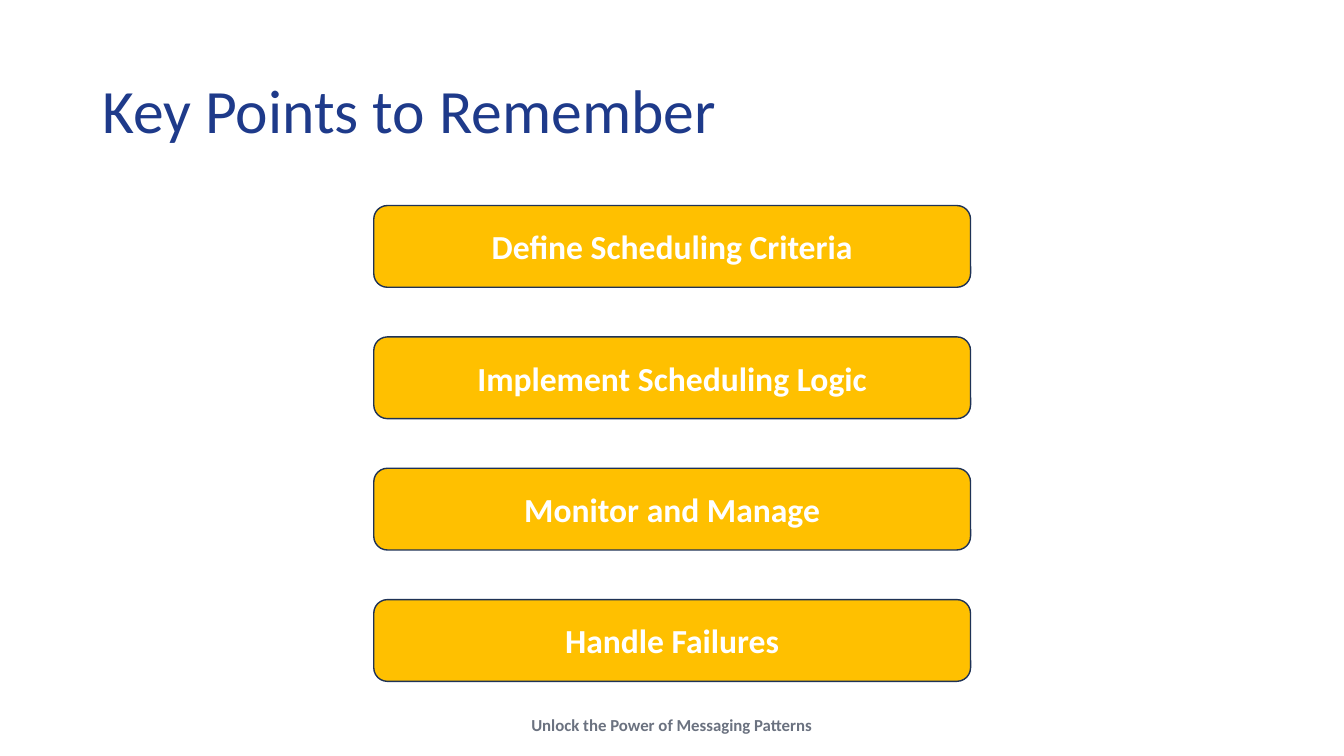
"""Build the key points slide on scheduling messages."""
from dataclasses import dataclass

from pptx import Presentation
from pptx.dml.color import RGBColor
from pptx.enum.shapes import MSO_SHAPE
from pptx.enum.text import MSO_ANCHOR, PP_ALIGN
from pptx.shapes.autoshape import Shape
from pptx.slide import Slide
from pptx.util import Cm, Pt

COLORS = {
    "title": "1E3A8A",
    "footer": "6B7280",
    "point_fill": "FFC000",
    "point_line": "1E3256",
    "point_text": "FFFFFF",
}
KEY_POINTS = (
    "Define Scheduling Criteria",
    "Implement Scheduling Logic",
    "Monitor and Manage",
    "Handle Failures",
)
FIRST_TOP = 5.18
POINT_PITCH = 3.31


@dataclass(frozen=True)
class Box:
    left: float
    top: float
    width: float
    height: float

    def lengths(self) -> tuple[Cm, Cm, Cm, Cm]:
        return Cm(self.left), Cm(self.top), Cm(self.width), Cm(self.height)


@dataclass(frozen=True)
class TextStyle:
    size: int
    color: str
    bold: bool
    align: PP_ALIGN
    anchor: MSO_ANCHOR
    wrap: bool = True
    line_spacing: float = 1.0


TITLE_STYLE = TextStyle(44, "title", False, PP_ALIGN.LEFT, MSO_ANCHOR.MIDDLE, line_spacing=0.9)
POINT_STYLE = TextStyle(24, "point_text", True, PP_ALIGN.CENTER, MSO_ANCHOR.MIDDLE)
FOOTER_STYLE = TextStyle(12, "footer", True, PP_ALIGN.CENTER, MSO_ANCHOR.TOP, wrap=False)


def color(name: str) -> RGBColor:
    return RGBColor.from_string(COLORS[name])


def write(shape: Shape, text: str, style: TextStyle) -> None:
    frame = shape.text_frame
    frame.text = text
    frame.word_wrap = style.wrap
    frame.vertical_anchor = style.anchor
    paragraph = frame.paragraphs[0]
    paragraph.alignment = style.align
    paragraph.line_spacing = style.line_spacing
    font = paragraph.runs[0].font
    font.name = "Calibri"
    font.size = Pt(style.size)
    font.bold = style.bold
    font.color.rgb = color(style.color)


def add_label(slide: Slide, box: Box, text: str, style: TextStyle) -> None:
    write(slide.shapes.add_textbox(*box.lengths()), text, style)


def add_point(slide: Slide, box: Box, text: str) -> None:
    point = slide.shapes.add_shape(MSO_SHAPE.ROUNDED_RECTANGLE, *box.lengths())
    point.shadow.inherit = False
    point.fill.solid()
    point.fill.fore_color.rgb = color("point_fill")
    point.line.color.rgb = color("point_line")
    point.line.width = Pt(1)
    write(point, text, POINT_STYLE)


def main() -> None:
    deck = Presentation()
    deck.slide_width, deck.slide_height = Cm(33.87), Cm(19.05)
    slide = deck.slides.add_slide(deck.slide_layouts[6])
    add_label(slide, Box(13.08, 17.88, 7.7, 0.77),
              "Unlock the Power of Messaging Patterns", FOOTER_STYLE)
    add_label(slide, Box(2.33, 1.01, 29.21, 3.68), "Key Points to Remember", TITLE_STYLE)
    for index, text in enumerate(KEY_POINTS):
        add_point(slide, Box(9.42, FIRST_TOP + index * POINT_PITCH, 15.04, 2.06), text)
    deck.save("out.pptx")


if __name__ == "__main__":
    main()
